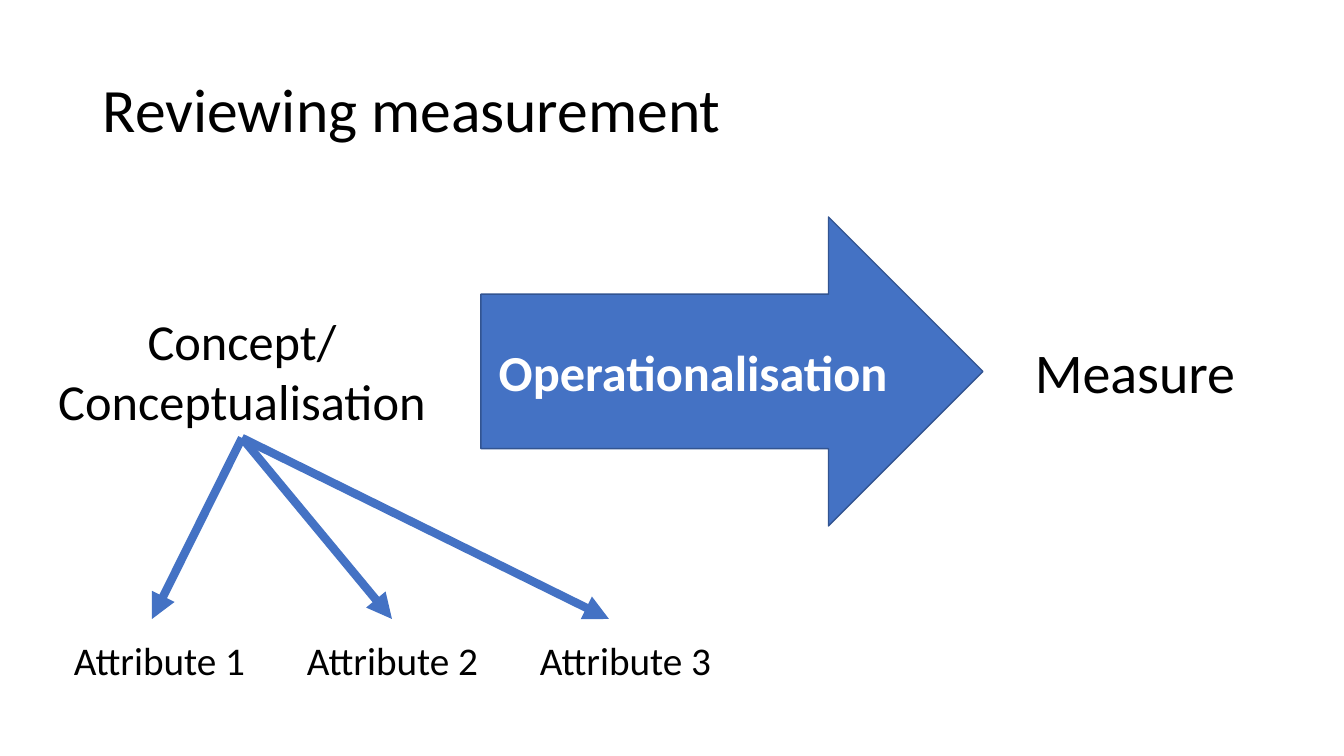
from lxml import etree
from pptx import Presentation
from pptx.dml.color import RGBColor
from pptx.enum.shapes import MSO_CONNECTOR, MSO_SHAPE
from pptx.enum.text import MSO_ANCHOR, PP_ALIGN
from pptx.oxml.ns import qn
from pptx.util import Pt

# Content: wording, (left, top, width, height) in px, size in points
TITLE = ("Reviewing measurement", (93, 40, 1159, 146), 44)
PROCESS = ("Operationalisation", (481, 217, 502, 309), 36)
LABELS = [
    ("Concept/\nConceptualisation", (18, 305, 448, 132), 36),
    ("Measure", (983, 333, 304, 78), 40),
]
ATTRIBUTES = ["Attribute 1", "Attribute 2", "Attribute 3"]
ATTRIBUTE_LEFT, ATTRIBUTE_TOP, ATTRIBUTE_STEP, ATTRIBUTE_HEIGHT = 43, 631, 233, 57
ATTRIBUTE_SIZE = 28
ARROW_START = (242, 438)
ARROW_TIPS_X = [152, 392, 609]
ARROW_TIP_Y = 619

FONT = "Calibri"
BLACK = RGBColor(0x00, 0x00, 0x00)
WHITE = RGBColor(0xFF, 0xFF, 0xFF)
BLUE = RGBColor(0x44, 0x72, 0xC4)
DARK_BLUE = RGBColor(0x32, 0x54, 0x91)
SLIDE_WIDTH, SLIDE_HEIGHT = 1344, 756
EMU_PER_PX = 12192000 / SLIDE_WIDTH


def px(*lengths):
    return [round(length * EMU_PER_PX) for length in lengths]


def write(shape, text, size, color=BLACK, align=PP_ALIGN.CENTER,
          anchor=MSO_ANCHOR.TOP, bold=False, spacing=None):
    frame = shape.text_frame
    frame.word_wrap = True
    frame.vertical_anchor = anchor
    frame.text = text
    for para in frame.paragraphs:
        para.alignment = align
        para.line_spacing = spacing
        for span in para.runs:
            span.font.name = FONT
            span.font.size = Pt(size)
            span.font.bold = bold
            span.font.color.rgb = color


deck = Presentation()
deck.slide_width, deck.slide_height = px(SLIDE_WIDTH, SLIDE_HEIGHT)
page = deck.slides.add_slide(deck.slide_layouts[6])

# Title
text, area, size = TITLE
write(page.shapes.add_textbox(*px(*area)), text, size,
      align=PP_ALIGN.LEFT, anchor=MSO_ANCHOR.MIDDLE, spacing=0.9)

# Block arrow from concept to measure
text, area, size = PROCESS
block_arrow = page.shapes.add_shape(MSO_SHAPE.RIGHT_ARROW, *px(*area))
block_arrow.shadow.inherit = False
block_arrow.fill.solid()
block_arrow.fill.fore_color.rgb = BLUE
block_arrow.line.color.rgb = DARK_BLUE
block_arrow.line.width = Pt(1)
write(block_arrow, text, size, WHITE, anchor=MSO_ANCHOR.MIDDLE, bold=True)

# Concept and measure
for text, area, size in LABELS:
    write(page.shapes.add_textbox(*px(*area)), text, size)

# Attributes, evenly spaced in a row
for index, text in enumerate(ATTRIBUTES):
    left = ATTRIBUTE_LEFT + index * ATTRIBUTE_STEP
    box = page.shapes.add_textbox(
        *px(left, ATTRIBUTE_TOP, ATTRIBUTE_STEP, ATTRIBUTE_HEIGHT))
    write(box, text, ATTRIBUTE_SIZE)

# Arrows from the concept to its attributes
for tip_x in ARROW_TIPS_X:
    arrow = page.shapes.add_connector(
        MSO_CONNECTOR.STRAIGHT, *px(*ARROW_START, tip_x, ARROW_TIP_Y))
    arrow.line.color.rgb = BLUE
    arrow.line.width = Pt(6)
    etree.SubElement(arrow.line._get_or_add_ln(), qn("a:tailEnd"), type="triangle")
    etree.SubElement(arrow._element.spPr, qn("a:effectLst"))

deck.save("out.pptx")
